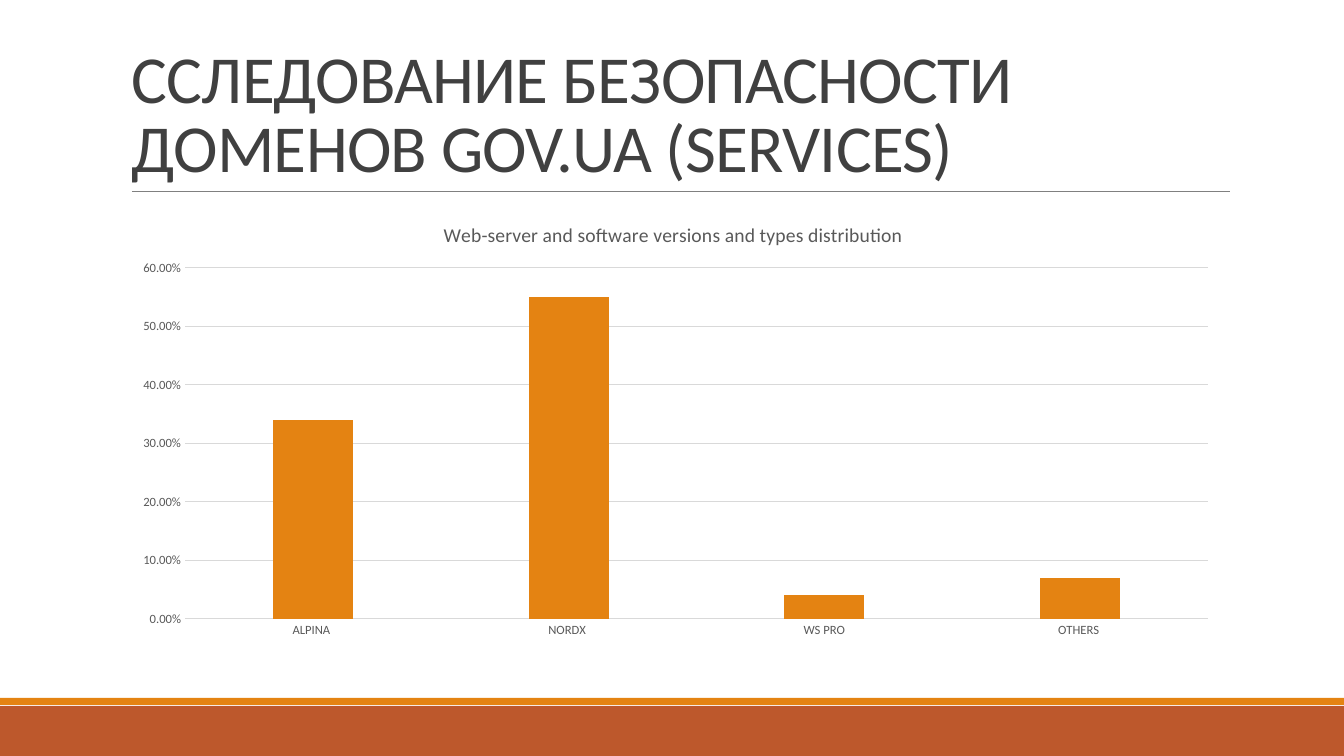
from lxml import etree
from pptx import Presentation
from pptx.chart.data import CategoryChartData
from pptx.dml.color import RGBColor
from pptx.enum.chart import XL_CHART_TYPE, XL_TICK_MARK
from pptx.enum.shapes import MSO_CONNECTOR, MSO_SHAPE
from pptx.enum.text import MSO_ANCHOR
from pptx.oxml.ns import qn
from pptx.util import Pt

COLUMN = XL_CHART_TYPE.COLUMN_CLUSTERED
NO_TICK = XL_TICK_MARK.NONE
STRAIGHT = MSO_CONNECTOR.STRAIGHT
RECT = MSO_SHAPE.RECTANGLE
BOTTOM = MSO_ANCHOR.BOTTOM

FONT = "Calibri"
COLORS = {
    "rust": "BD582C",
    "orange": "E48312",
    "rule": "808080",
    "title": "404040",
    "label": "595959",
    "grid": "D9D9D9",
}
SHARES = {"ALPINA ": 0.34, "NORDX ": 0.55, "WS PRO": 0.04, "OTHERS ": 0.07}


def px(n):
    return round(n * 914400 / 100.8)


def color(name):
    return RGBColor.from_string(COLORS[name])


class Page:
    def __init__(self, deck):
        self.slide = deck.slides.add_slide(deck.slide_layouts[6])
        self.shapes = self.slide.shapes

    def style(self, font, size, name):
        font.name = FONT
        font.size = Pt(size)
        font.bold = False
        font.color.rgb = color(name)

    def stroke(self, line, name, width):
        line.color.rgb = color(name)
        line.width = Pt(width)

    def band(self, top, height, name):
        bar = self.shapes.add_shape(RECT, 0, px(top), px(1344), px(height))
        bar.shadow.inherit = False
        bar.fill.solid()
        bar.fill.fore_color.rgb = color(name)
        bar.line.fill.background()

    def rule(self, left, right, y):
        line = self.shapes.add_connector(STRAIGHT, px(left), px(y), px(right), px(y))
        self.stroke(line.line, "rule", 0.5)
        etree.SubElement(line.element.spPr, qn("a:effectLst"))

    def title(self, text, *box):
        frame = self.shapes.add_textbox(*map(px, box)).text_frame
        frame.word_wrap = True
        frame.vertical_anchor = BOTTOM
        frame.text = text
        para = frame.paragraphs[0]
        para.line_spacing = 0.85
        font = para.runs[0].font
        self.style(font, 48, "title")
        font._element.set("spc", "-50")

    def chart(self, title, shares, box, plot):
        data = CategoryChartData(number_format="0.00%")
        data.categories = list(shares)
        data.add_series("Series 1", list(shares.values()))
        chart = self.shapes.add_chart(COLUMN, *map(px, box), data).chart
        self.style(chart.font, 10, "label")
        chart.has_legend = False
        frame = chart.chart_title.text_frame
        frame.text = title
        self.style(frame.paragraphs[0].runs[0].font, 14, "label")
        bars = chart.plots[0]
        bars.gap_width = 219
        bars.overlap = -27
        bars.vary_by_categories = False
        fill = bars.series[0].format.fill
        fill.solid()
        fill.fore_color.rgb = color("orange")
        for axis in (chart.category_axis, chart.value_axis):
            axis.major_tick_mark = axis.minor_tick_mark = NO_TICK
            self.style(axis.tick_labels.font, 9, "label")
        self.stroke(chart.category_axis.format.line, "grid", 0.75)
        scale = chart.value_axis
        scale.format.line.fill.background()
        scale.minimum_scale = 0
        scale.maximum_scale = 0.6
        scale.major_unit = 0.1
        scale.tick_labels.number_format = "0.00%"
        scale.tick_labels.number_format_is_linked = False
        self.stroke(scale.major_gridlines.format.line, "grid", 0.75)
        self.place(chart, box, plot)

    def place(self, chart, box, plot):
        area = chart.element.find(".//" + qn("c:plotArea"))
        for old in area.findall(qn("c:layout")):
            area.remove(old)
        layout = etree.Element(qn("c:layout"))
        area.insert(0, layout)
        manual = etree.SubElement(layout, qn("c:manualLayout"))
        left, top, width, height = box
        x, y, w, h = plot
        parts = {
            "layoutTarget": "inner",
            "xMode": "edge",
            "yMode": "edge",
            "x": (x - left) / width,
            "y": (y - top) / height,
            "w": w / width,
            "h": h / height,
        }
        for tag, val in parts.items():
            etree.SubElement(manual, qn("c:" + tag)).set("val", str(val))


def main():
    deck = Presentation()
    deck.slide_width = px(1344)
    deck.slide_height = px(756)
    page = Page(deck)
    page.band(706, 50, "rust")
    page.band(698, 7, "orange")
    page.rule(132, 1230, 191)
    page.title("ССЛЕДОВАНИЕ БЕЗОПАСНОСТИ ДОМЕНОВ GOV.UA (SERVICES)", 122, 31, 1109, 160)
    page.chart(
        "Web-server and software versions and types distribution ",
        SHARES,
        (121, 204, 1109, 444),
        (185, 268, 1023, 351),
    )
    deck.save("out.pptx")


if __name__ == "__main__":
    main()
